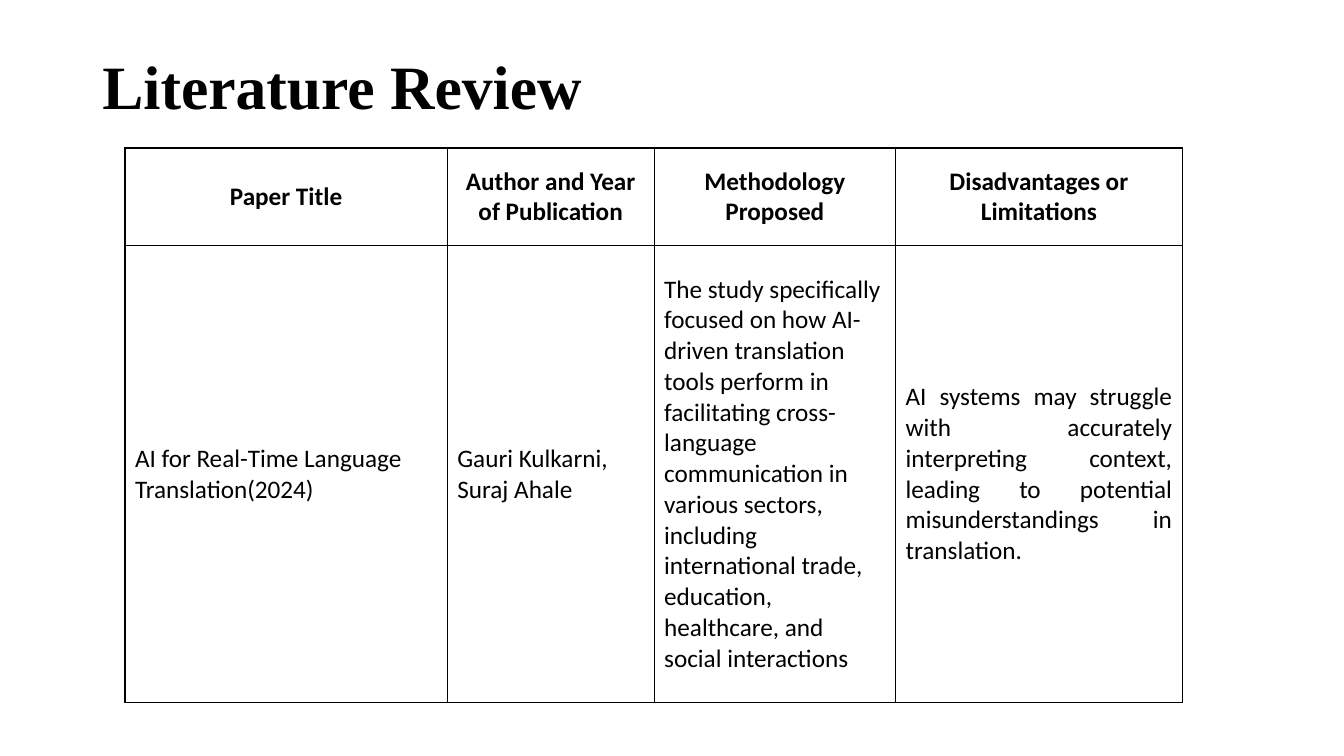
from dataclasses import dataclass

from lxml.etree import SubElement
from pptx import Presentation
from pptx.dml.color import RGBColor
from pptx.enum.text import MSO_ANCHOR as Anchor, PP_ALIGN as Align
from pptx.oxml.ns import qn
from pptx.util import Pt

EMU_PER_PX = 9525  # 96 px to the inch


def px(length):
    return length * EMU_PER_PX


@dataclass(frozen=True)
class Theme:
    ink: str = "000000"
    title_font: str = "Times New Roman"
    body_font: str = "Calibri"
    title_size: int = 44
    body_size: int = 18
    border_width: int = 1


def write_text(frame, text, *, font, size, color, bold=False,
               align=Align.LEFT, line_spacing=None):
    """Fill a text frame with one formatted paragraph."""
    frame.word_wrap = True
    paragraph = frame.paragraphs[0]
    paragraph.alignment = align
    if line_spacing:
        paragraph.line_spacing = line_spacing
    run = paragraph.add_run()
    run.text = text
    run.font.name = font
    run.font.size = Pt(size)
    run.font.bold = bold
    run.font.color.rgb = RGBColor.from_string(color)


class SlideBuilder:
    def __init__(self, presentation, theme):
        self.theme = theme
        title_only = presentation.slide_layouts[5]
        self.slide = presentation.slides.add_slide(title_only)

    def title(self, text, left, top, width, height):
        shape = self.slide.shapes.title
        shape.left, shape.top = px(left), px(top)
        shape.width, shape.height = px(width), px(height)
        shape.text_frame.vertical_anchor = Anchor.MIDDLE
        write_text(shape.text_frame, text, font=self.theme.title_font,
                   size=self.theme.title_size, color=self.theme.ink,
                   bold=True, line_spacing=0.9)

    def table(self, rows, left, top, widths, heights, body_aligns):
        table = self.slide.shapes.add_table(
            len(heights), len(widths), px(left), px(top),
            px(sum(widths)), px(sum(heights))).table
        table.first_row = table.horz_banding = False
        for column, width in zip(table.columns, widths):
            column.width = px(width)
        for row, height in zip(table.rows, heights):
            row.height = px(height)

        for row_index, texts in enumerate(rows):
            is_header = row_index == 0
            for column_index, text in enumerate(texts):
                cell = table.cell(row_index, column_index)
                cell.vertical_anchor = Anchor.MIDDLE
                self.cell_borders(cell)
                cell.fill.background()
                align = Align.CENTER if is_header else body_aligns[column_index]
                write_text(cell.text_frame, text, font=self.theme.body_font,
                           size=self.theme.body_size, color=self.theme.ink,
                           bold=is_header, align=align)

    def cell_borders(self, cell):
        properties = cell._tc.get_or_add_tcPr()
        for side in ("a:lnL", "a:lnR", "a:lnT", "a:lnB"):
            line = SubElement(properties, qn(side),
                              w=str(Pt(self.theme.border_width)))
            fill = SubElement(line, qn("a:solidFill"))
            SubElement(fill, qn("a:srgbClr"), val=self.theme.ink)


def main():
    presentation = Presentation()
    presentation.slide_width, presentation.slide_height = px(1280), px(720)
    builder = SlideBuilder(presentation, Theme())

    # Heading
    builder.title("Literature Review", 88, 20, 1088, 130)

    # Reviewed papers
    papers = [
        ("Paper Title", "Author and Year of Publication",
         "Methodology Proposed", "Disadvantages or Limitations"),
        ("AI for Real-Time Language Translation(2024)",
         "Gauri Kulkarni, Suraj Ahale",
         "The study specifically focused on how AI-driven translation tools "
         "perform in facilitating cross-language communication in various "
         "sectors, including international trade, education, healthcare, and "
         "social interactions",
         "AI systems may struggle with accurately interpreting context, "
         "leading to potential misunderstandings in translation."),
    ]
    builder.table(papers, 119, 141, widths=(307, 197, 230, 273),
                  heights=(93, 435),
                  body_aligns=(Align.LEFT, Align.LEFT, Align.LEFT, Align.JUSTIFY))

    presentation.save("out.pptx")


if __name__ == "__main__":
    main()
